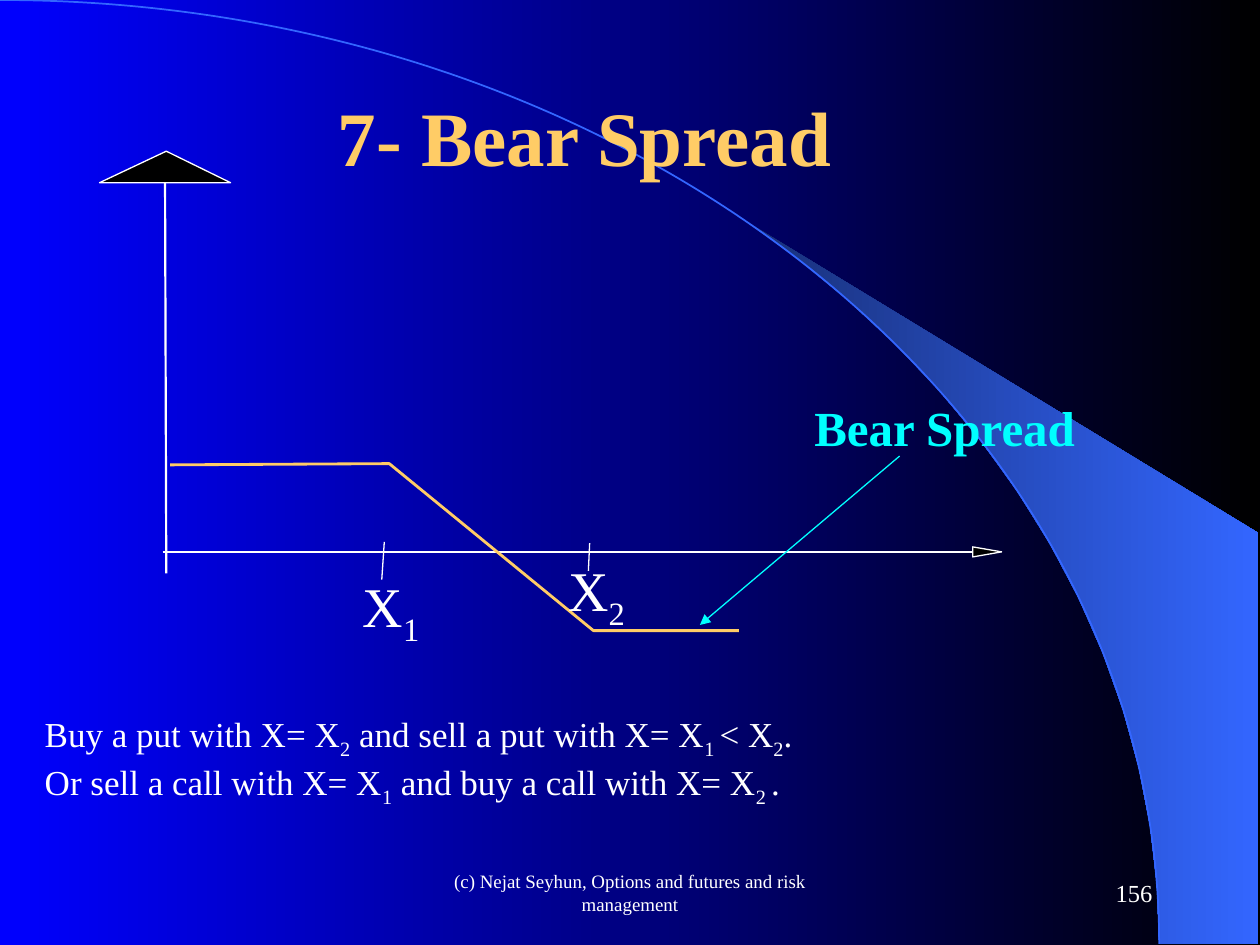
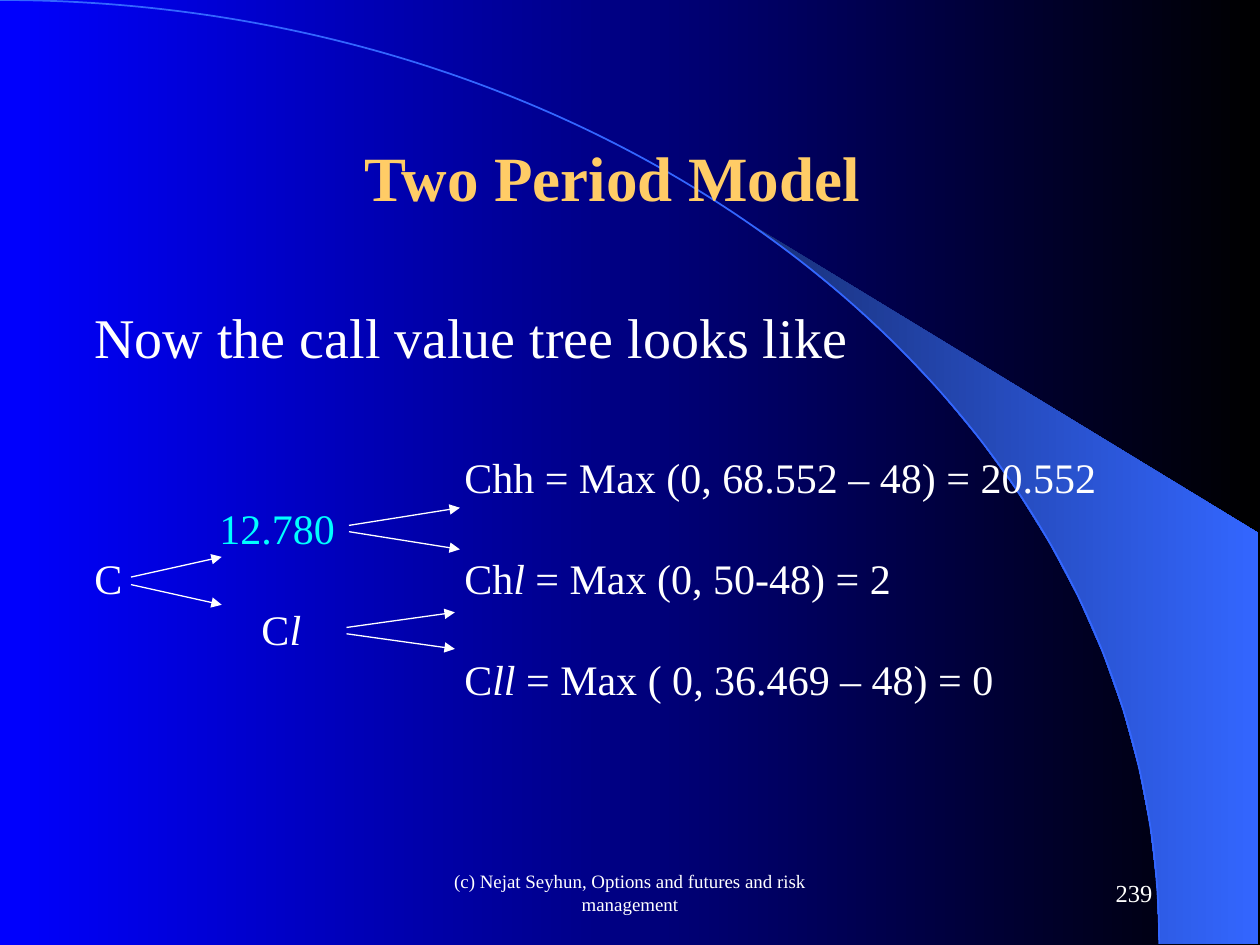
import math
from dataclasses import dataclass

from lxml import etree
from pptx import Presentation
from pptx import util as u
from pptx.dml.color import RGBColor
from pptx.enum import shapes, text
from pptx.oxml.ns import qn

COLORS = {
    "blue": "0000FF",
    "black": "000000",
    "arc": "3366FF",
    "shade": "182F76",
    "white": "FFFFFF",
    "gold": "FFCC66",
    "cyan": "00FFFF",
}
FONT = "Times New Roman"
CELL = u.Inches(0.25)
COLUMNS, ROWS = 40, 30
LEFT, CENTER, RIGHT = text.PP_ALIGN.LEFT, text.PP_ALIGN.CENTER, text.PP_ALIGN.RIGHT
TOP, MIDDLE = text.MSO_ANCHOR.TOP, text.MSO_ANCHOR.MIDDLE
SUBSCRIPT = {"baseline": -25}
ITALIC = {"italic": True}


@dataclass
class Box:
    column: float
    row: float
    width: float
    height: float

    def point(self, column, row):
        return round((self.column + column) * CELL), round((self.row + row) * CELL)

    def inner(self, column, row, width, height):
        return Box(self.column + column, self.row + row, width, height)

    def frame(self):
        return (*self.point(0, 0), round(self.width * CELL), round(self.height * CELL))


SLIDE = Box(0, 0, COLUMNS, ROWS)
FOOTER = Box(13.66, 27.34, 12.68, 2)
PAGE_NUMBER = Box(28.66, 27.34, 8.32, 2)


def rgb(name):
    return RGBColor.from_string(COLORS[name])


def apply_gradient(fill, *names):
    fill.gradient()
    fill.gradient_angle = 0
    for stop, name in zip(fill.gradient_stops, names):
        stop.color.rgb = rgb(name)


def add_run(paragraph, words, size, color="white", bold=False, italic=False, baseline=0):
    run = paragraph.add_run()
    run.text = words
    font = run.font
    font.name, font.size, font.bold, font.italic = FONT, u.Pt(size), bold, italic
    font.color.rgb = rgb(color)
    if baseline:
        run._r.get_or_add_rPr().set("baseline", str(baseline * 1000))


def write(shape, paragraphs, align=LEFT, anchor=TOP, **style):
    frame = shape.text_frame
    frame.word_wrap = True
    frame.auto_size = text.MSO_AUTO_SIZE.NONE
    frame.vertical_anchor = anchor
    for index, (runs, options) in enumerate(paragraphs):
        paragraph = frame.add_paragraph() if index else frame.paragraphs[0]
        properties = paragraph._p.get_or_add_pPr()
        properties.set("marL", str(round(options.get("margin", 0) * CELL)))
        properties.set("indent", "0")
        etree.SubElement(properties, qn("a:buNone"))
        paragraph.alignment = align
        paragraph.space_before = u.Pt(options.get("before", 0))
        for words, changes in runs:
            add_run(paragraph, words, **{**style, **changes})


def write_line(shape, words, **style):
    write(shape, [([(words, {})], {})], **style)


def place(shape, box):
    shape.left, shape.top, shape.width, shape.height = box.frame()
    return shape


def add_text(slide, box):
    return slide.shapes.add_textbox(*box.frame())


def add_outline(slide, box, points, close, line=None, width=0.75, fill=None):
    corners = [box.point(*point) for point in points]
    builder = slide.shapes.build_freeform(*corners[0], scale=1.0)
    builder.add_line_segments(corners[1:], close=close)
    shape = builder.convert_to_shape()
    shape.shadow.inherit = False
    if fill:
        shape.fill.solid()
        shape.fill.fore_color.rgb = rgb(fill)
    else:
        shape.fill.background()
    if line:
        shape.line.color.rgb = rgb(line)
        shape.line.width = u.Pt(width)
    else:
        shape.line.fill.background()
    return shape


def bend(shape):
    outline = next(shape.element.iter(qn("a:path")))
    curve = etree.SubElement(outline, qn("a:cubicBezTo"))
    for segment in outline.findall(qn("a:lnTo")):
        curve.append(segment[0])
        outline.remove(segment)


def add_line(slide, box, start, end, color="white", width=0.75, arrow=False):
    connector = slide.shapes.add_connector(
        shapes.MSO_CONNECTOR.STRAIGHT, *box.point(*start), *box.point(*end))
    connector.line.color.rgb = rgb(color)
    connector.line.width = u.Pt(width)
    properties = connector.element.spPr
    if arrow:
        etree.SubElement(properties.find(qn("a:ln")), qn("a:tailEnd"), type="triangle")
    etree.SubElement(properties, qn("a:effectLst"))


def arc_points(box, first, last, steps=14):
    angles = (first + (last - first) * step / steps for step in range(steps + 1))
    return [(box.width * math.sin(a), box.height * (1 - math.cos(a))) for a in angles]


def decorate_master(master, slide):
    apply_gradient(master.background.fill, "blue", "black")
    arc = Box(0, 0, 36.8, 29.96)
    edge = arc_points(arc, math.asin(0.64), math.pi / 2)
    crescent = add_outline(slide, SLIDE, [*edge, (39.94, 29.96), (39.94, 16.92)], True)
    apply_gradient(crescent.fill, "shade", "arc")
    controls = [(0, 0), (20.32, 0), (arc.width, 13.4), (arc.width, arc.height)]
    curve = add_outline(slide, arc, controls, False, "arc", 1)
    bend(curve)
    for index, shape in enumerate((crescent, curve)):
        shape.element.nvSpPr.cNvPr.set("id", str(100 + index))
        master.shapes.element.insert(2 + index, shape.element)


def add_slide(presentation, title, title_box, title_size, page):
    slide = presentation.slides.add_slide(presentation.slide_layouts[1])
    write_line(place(slide.shapes.title, title_box), title,
               size=title_size, color="gold", bold=True)
    write_line(add_text(slide, FOOTER),
               "(c) Nejat Seyhun, Options and futures and risk management",
               align=CENTER, anchor=MIDDLE, size=10.8)
    write_line(add_text(slide, PAGE_NUMBER), page, align=RIGHT, anchor=MIDDLE, size=14)
    return slide


def draw_payoff(slide, box):
    add_line(slide, box, (2.12, 13.4), (2.08, 0.96), width=1.25)
    add_line(slide, box, (2, 12.72), (27.76, 12.72), width=1.25)
    for head in ([(0, 1), (2.12, 0), (4.16, 1)],
                 [(27.72, 12.56), (28.64, 12.72), (27.72, 12.88)]):
        add_outline(slide, box, head, True, "white", fill="black")
    payoff = [(2.24, 9.96), (9.2, 9.92), (15.68, 15.22), (20.3, 15.22)]
    add_outline(slide, box, payoff, False, "gold", 1.62)

    strikes = [("1", (7.96, 13.15), (9.04, 12.4), (8.96, 13.6)),
               ("2", (14.48, 12.64), (15.56, 12.44), (15.52, 13.32))]
    for number, corner, tick_top, tick_bottom in strikes:
        label = add_text(slide, box.inner(*corner, 3, 2.84))
        write(label, [([("X", {}), (number, SUBSCRIPT)], {})], size=32)
        add_line(slide, box, tick_top, tick_bottom)

    callout = add_text(slide, box.inner(22.3, 7.63, 13.28, 2.28))
    write_line(callout, "Bear Spread", size=28, color="cyan", bold=True)
    add_line(slide, box, (25.4, 9.68), (19.06, 15.04), "cyan", arrow=True)


def write_strategy(slide, box):
    put = [("Buy a put with X= X", {}), ("2", SUBSCRIPT),
           (" and sell a put with X= X", {}), ("1 ", SUBSCRIPT),
           ("< X", {}), ("2", SUBSCRIPT), (".", {})]
    call = [("Or sell a call with X= X", {}), ("1", SUBSCRIPT),
            (" and buy a call with X= X", {}), ("2 ", SUBSCRIPT), (".", {})]
    write(place(slide.placeholders[1], box), [(put, {}), (call, {})], size=20)


def draw_tree(slide, box):
    final = {"margin": 11.74}
    rows = [
        ([("Now the call value tree looks like", {"size": 32})], {}),
        ([("Chh = Max (0, 68.552 – 48) = 20.552", {})], {**final, "before": 47}),
        ([("12.780", {"color": "cyan"})], {"margin": 3.96}),
        ([("Ch", {}), ("l", ITALIC), (" = Max (0, 50-48) = 2", {})], final),
        ([("C", {}), ("l", ITALIC)], {"margin": 5.3}),
        ([("C", {}), ("ll", ITALIC), (" = Max ( 0, 36.469 – 48) = 0", {})], final),
    ]
    write(place(slide.placeholders[1], box), rows, size=24)
    write_line(add_text(slide, box.inner(0, 7.93, 2, 2)), "C", size=24)

    forks = [(1.56, 9.04, 2.88, 0.12, 0.76),
             (8.48, 7.38, 3.52, 0.1, 0.66),
             (8.4, 10.62, 3.44, 0.1, 0.58)]
    for column, middle, length, gap, spread in forks:
        for side in (-1, 1):
            add_line(slide, box, (column, middle + side * gap),
                     (column + length, middle + side * spread), arrow=True)


def main():
    presentation = Presentation()
    presentation.slide_width = CELL * COLUMNS
    presentation.slide_height = CELL * ROWS

    bear_spread = add_slide(presentation, "7- Bear Spread",
                            Box(10.32, 2.64, 18, 3.36), 44, "156")
    decorate_master(presentation.slide_master, bear_spread)
    draw_payoff(bear_spread, Box(3.16, 4.8, 28.64, 15.24))
    write_strategy(bear_spread, Box(1.02, 22.43, 38.9, 3.44))

    two_period = add_slide(presentation, "Two Period Model",
                           Box(11.17, 4.2, 18, 2.8), 36, "239")
    draw_tree(two_period, Box(2.6, 9.4, 33.4, 14.76))

    presentation.save("out.pptx")


if __name__ == "__main__":
    main()
